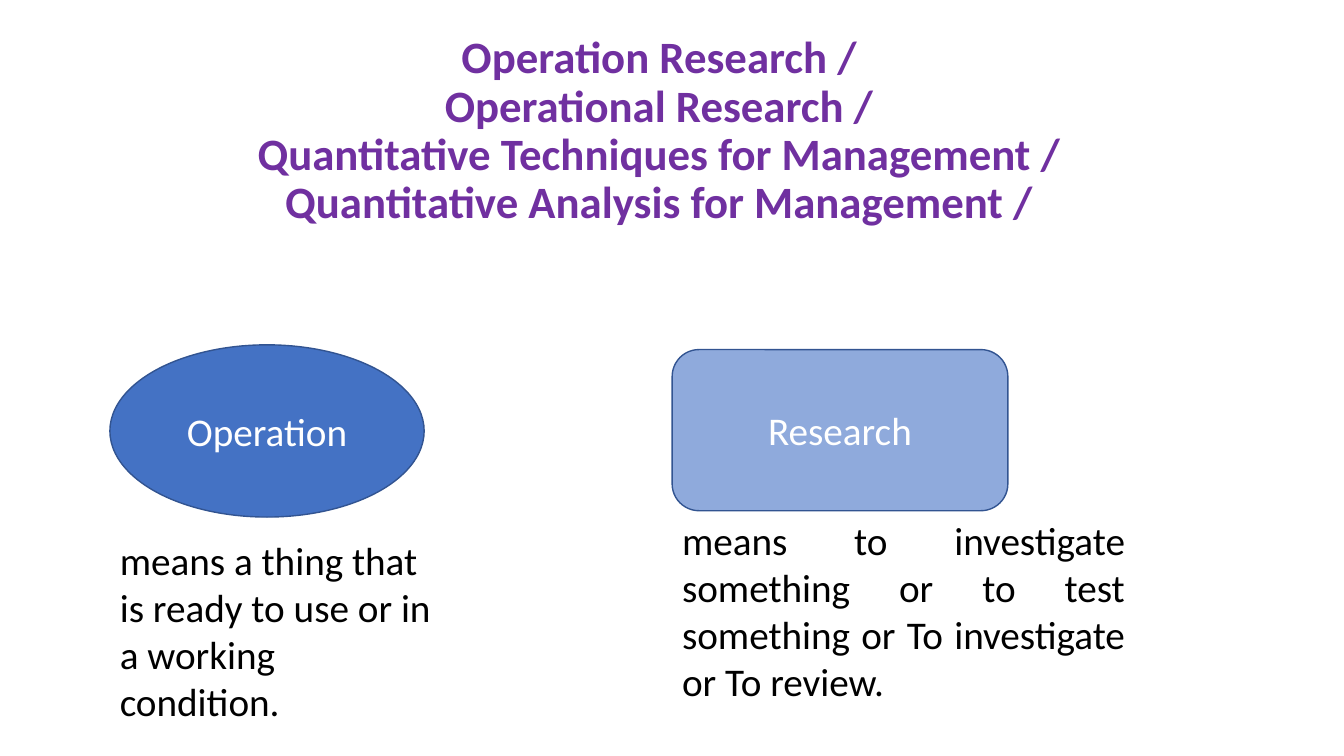
import copy

import pptx
import pptx.dml.color
import pptx.enum.shapes
import pptx.enum.text
import pptx.oxml.ns
import pptx.util

Cm = pptx.util.Cm
RGBColor = pptx.dml.color.RGBColor
MSO_SHAPE = pptx.enum.shapes.MSO_SHAPE
MSO_ANCHOR = pptx.enum.text.MSO_ANCHOR
PP_ALIGN = pptx.enum.text.PP_ALIGN

PURPLE = RGBColor(0x70, 0x30, 0xA0)
BLUE = RGBColor(0x44, 0x72, 0xC4)
LIGHT_BLUE = RGBColor(0x8F, 0xAA, 0xDC)
OUTLINE_BLUE = RGBColor(0x32, 0x54, 0x91)
WHITE = RGBColor(0xFF, 0xFF, 0xFF)
BLACK = RGBColor(0x00, 0x00, 0x00)


def write_text(shape, text, color, size=28, bold=False, align=PP_ALIGN.CENTER,
               anchor=MSO_ANCHOR.MIDDLE, line_spacing=1.0,
               auto_size=pptx.enum.text.MSO_AUTO_SIZE.NONE):
    frame = shape.text_frame
    frame.word_wrap = True
    frame.auto_size = auto_size
    frame.vertical_anchor = anchor
    paragraph = frame.paragraphs[0]
    paragraph.text = text
    paragraph.alignment = align
    paragraph.line_spacing = line_spacing
    for run in paragraph.runs:
        run.font.name = "Calibri"
        run.font.size = pptx.util.Pt(size)
        run.font.bold = bold
        run.font.color.rgb = color
    # Line breaks take the format of the text around them
    run_format = paragraph.runs[0].font._element
    for line_break in paragraph._p.findall(pptx.oxml.ns.qn("a:br")):
        line_break.append(copy.deepcopy(run_format))


presentation = pptx.Presentation()
presentation.slide_width = Cm(33.87)
presentation.slide_height = Cm(19.05)
slide = presentation.slides.add_slide(presentation.slide_layouts[0])

# Title
subtitle = slide.placeholders[1].element
subtitle.getparent().remove(subtitle)
title = slide.shapes.title
title.left, title.top, title.width, title.height = Cm(0.84), Cm(0.53), Cm(31.55), Cm(5.36)
write_text(
    title,
    "Operation Research /\n"
    "Operational Research /\n"
    "Quantitative Techniques for Management /\n"
    "Quantitative Analysis for Management /",
    PURPLE, size=32, bold=True, anchor=MSO_ANCHOR.BOTTOM, line_spacing=0.9)

# Each term in its shape, with its meaning below
terms = [
    ("Operation", MSO_SHAPE.OVAL, BLUE, (2.77, 8.69, 7.92, 4.34),
     "means a thing that is ready to use or in a working condition.",
     (2.77, 13.39, 8.66, 5.05), PP_ALIGN.LEFT),
    ("Research", MSO_SHAPE.ROUNDED_RECTANGLE, LIGHT_BLUE, (16.94, 8.81, 8.46, 4.06),
     "means to investigate something or to test something or To investigate or To review.",
     (16.94, 12.88, 11.66, 5.05), PP_ALIGN.JUSTIFY),
]
for term, outline, fill, term_box, meaning, meaning_box, align in terms:
    shape = slide.shapes.add_shape(outline, *map(Cm, term_box))
    shape.shadow.inherit = False
    shape.fill.solid()
    shape.fill.fore_color.rgb = fill
    shape.line.color.rgb = OUTLINE_BLUE
    shape.line.width = pptx.util.Pt(1)
    write_text(shape, term, WHITE)

    text_box = slide.shapes.add_textbox(*map(Cm, meaning_box))
    write_text(text_box, meaning, BLACK, align=align, anchor=MSO_ANCHOR.TOP,
               auto_size=pptx.enum.text.MSO_AUTO_SIZE.SHAPE_TO_FIT_TEXT)

presentation.save("out.pptx")
